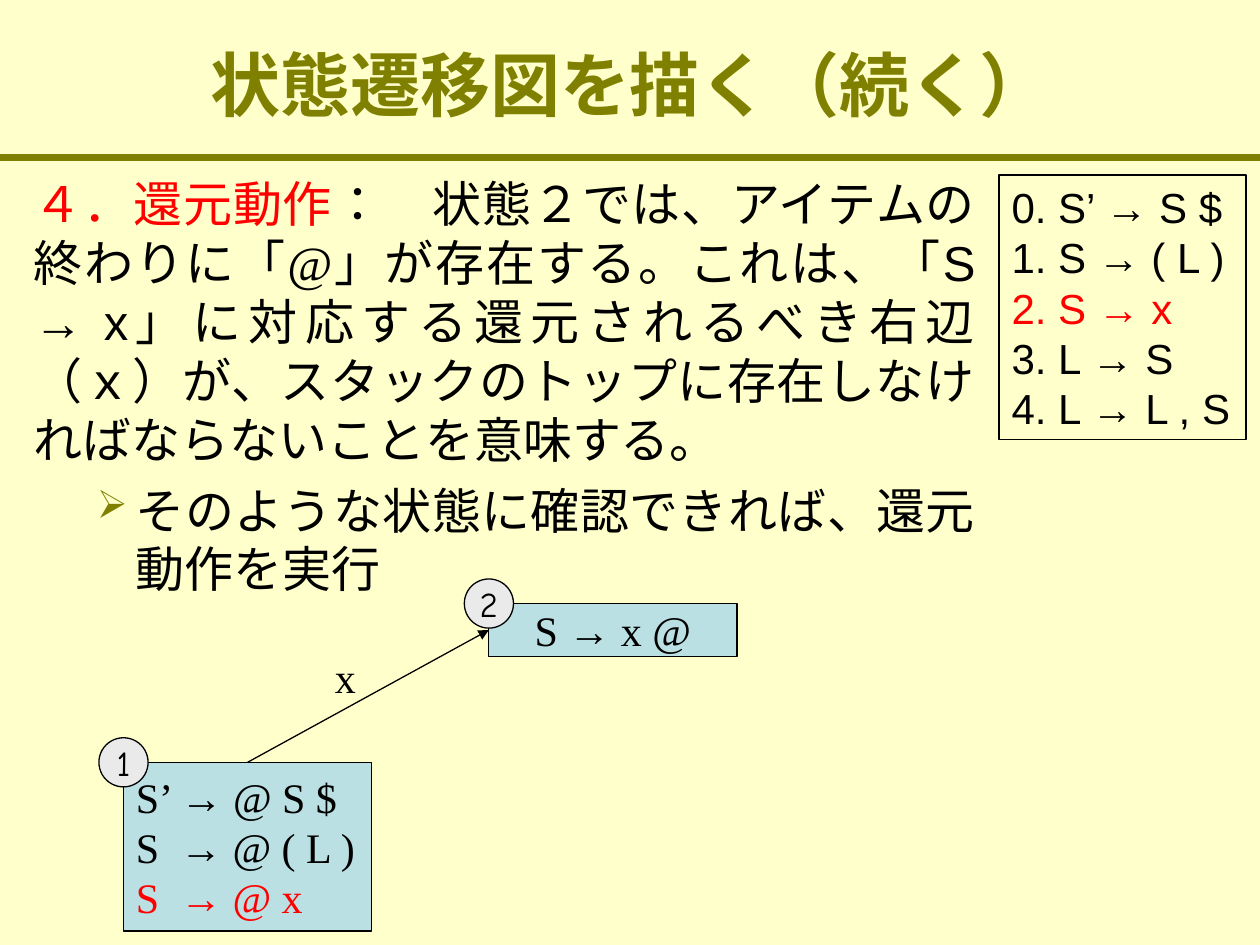
from lxml.etree import SubElement
from pptx import Presentation
from pptx.dml.color import RGBColor
from pptx.enum.lang import MSO_LANGUAGE_ID
from pptx.enum.shapes import MSO_CONNECTOR, MSO_SHAPE
from pptx.enum.text import MSO_ANCHOR, PP_ALIGN
from pptx.oxml.ns import qn
from pptx.util import Inches, Pt

CREAM = RGBColor(0xFF, 0xFF, 0xCC)
OLIVE = RGBColor(0x80, 0x80, 0x00)
BLACK = RGBColor(0x00, 0x00, 0x00)
RED = RGBColor(0xFF, 0x00, 0x00)
PALE_BLUE = RGBColor(0xBB, 0xE0, 0xE3)
PALE_GRAY = RGBColor(0xEA, 0xEA, 0xEA)

SERIF, SANS, HAND = "Times New Roman", "Arial", "Comic Neue"
TOP, LEFT = 0, 1
BADGE_SIZE = 0.39


def write(shape, paragraphs, size=24, font=SERIF, color=BLACK, bold=False,
          align=PP_ALIGN.LEFT, anchor=MSO_ANCHOR.TOP, wrap=False,
          line_spacing=None):
    """Fill shape with paragraphs, each a list of (text, format overrides)."""
    frame = shape.text_frame
    frame.word_wrap = wrap
    frame.vertical_anchor = anchor
    for index, runs in enumerate(paragraphs):
        paragraph = frame.paragraphs[0] if index == 0 else frame.add_paragraph()
        paragraph.alignment = align
        paragraph.line_spacing = line_spacing
        for text, override in runs:
            run = paragraph.add_run()
            run.text = text
            run.font.size = Pt(size)
            run.font.name = override.get("font", font)
            run.font.bold = bold
            run.font.color.rgb = override.get("color", color)
            run.font.language_id = MSO_LANGUAGE_ID.JAPANESE
    return frame


def lines(*texts, red=None):
    """One paragraph per text; the one at index red is highlighted."""
    return [[(text, {"color": RED} if index == red else {})]
            for index, text in enumerate(texts)]


def add_outlined(slide, preset, box, fill=None):
    shape = slide.shapes.add_shape(preset, *map(Inches, box))
    shape.shadow.inherit = False
    if fill is None:
        shape.fill.background()
    else:
        shape.fill.solid()
        shape.fill.fore_color.rgb = fill
    shape.line.color.rgb = BLACK
    shape.line.width = Pt(0.75)
    return shape


def add_line(slide, start, end, color, width):
    line = slide.shapes.add_connector(
        MSO_CONNECTOR.STRAIGHT, *map(Inches, (*start, *end)))
    line.line.color.rgb = color
    line.line.width = Pt(width)
    SubElement(line._element.spPr, qn("a:effectLst"))
    return line


def add_bullet(paragraph, char, color, percent, margin, indent):
    properties = paragraph._p.get_or_add_pPr()
    properties.set("lvl", "1")
    properties.set("marL", str(Inches(margin)))
    properties.set("indent", str(Inches(indent)))
    bullet_color = SubElement(properties, qn("a:buClr"))
    SubElement(bullet_color, qn("a:srgbClr"), val=str(color))
    SubElement(properties, qn("a:buSzPct"), val=str(percent * 1000))
    SubElement(properties, qn("a:buChar"), char=char)


def add_title(slide, box):
    left, top, width, height = box
    rule_y = top + height - 0.08
    add_line(slide, (left, rule_y), (left + width, rule_y), OLIVE, 4.5)
    title = slide.shapes.add_textbox(*map(Inches, box))
    write(title, lines("状態遷移図を描く（続く）"), size=40, color=OLIVE, bold=True,
          align=PP_ALIGN.CENTER, anchor=MSO_ANCHOR.MIDDLE, wrap=True,
          line_spacing=0.9)


def add_explanation(slide, box):
    explanation = slide.shapes.add_textbox(*map(Inches, box))
    reduction = [
        ("４．還元動作", {"color": RED}),
        ("：\u3000状態２では、アイテムの終わりに「@」が存在する。これは、「", {}),
        ("S → x", {"font": SANS}),
        ("」に対応する還元されるべき右辺（ｘ）が、スタックのトップに"
         "存在しなければならないことを意味する。", {}),
    ]
    action = [("そのような状態に確認できれば、還元動作を実行", {})]
    frame = write(explanation, [reduction, action], size=28,
                  align=PP_ALIGN.JUSTIFY, wrap=True)
    action_paragraph = frame.paragraphs[1]
    action_paragraph.space_before = Pt(7)
    add_bullet(action_paragraph, "➢", OLIVE, 80, margin=0.81, indent=-0.31)


def add_grammar(slide, box):
    grammar = add_outlined(slide, MSO_SHAPE.RECTANGLE, box)
    write(grammar, lines("0. S’ → S $", "1. S → ( L )", "2. S → x",
                         "3. L → S", "4. L → L , S", red=2), font=SANS)


def add_state(slide, box, items, align=PP_ALIGN.LEFT):
    state = add_outlined(slide, MSO_SHAPE.RECTANGLE, box, PALE_BLUE)
    write(state, items, align=align, anchor=MSO_ANCHOR.MIDDLE)
    return state


def add_badge(slide, box, number):
    """Number a state with a circle centred on the corner of its box."""
    left, top = (edge - BADGE_SIZE / 2 for edge in box[:2])
    badge = add_outlined(slide, MSO_SHAPE.OVAL,
                         (left, top, BADGE_SIZE, BADGE_SIZE), PALE_GRAY)
    write(badge, lines(number), size=20, font=HAND,
          align=PP_ALIGN.CENTER, anchor=MSO_ANCHOR.MIDDLE)


def add_diagram(slide, box):
    left, top, width, height = box
    state_width, start_height, end_height = 1.97, 1.34, 0.42
    start_box = (left, top + height - start_height, state_width, start_height)
    end_box = (left + width - state_width, top, state_width, end_height)
    start = add_state(slide, start_box,
                      lines("S’ → @ S $", "S  → @ ( L )", "S  → @ x", red=2))
    end = add_state(slide, end_box, lines("S → x @"), PP_ALIGN.CENTER)

    shift = add_line(slide, start_box[:2], end_box[:2], BLACK, 0.75)
    shift.begin_connect(start, TOP)
    shift.end_connect(end, LEFT)
    SubElement(shift.line._get_or_add_ln(), qn("a:tailEnd"), type="triangle")
    symbol = slide.shapes.add_textbox(
        *map(Inches, (left + 1.58, top + 0.33, 0.36, 0.5)))
    write(symbol, lines("x"))

    add_badge(slide, start_box, "1")
    add_badge(slide, end_box, "2")


def main():
    deck = Presentation()
    deck.slide_width, deck.slide_height = Inches(10), Inches(7.5)
    slide = deck.slides.add_slide(deck.slide_layouts[6])
    slide.background.fill.solid()
    slide.background.fill.fore_color.rgb = CREAM
    add_title(slide, (0, 0.08, 10, 1.25))
    add_explanation(slide, (0.17, 1.33, 7.67, 6))
    add_diagram(slide, (0.98, 4.79, 4.87, 2.6))
    add_grammar(slide, (7.93, 1.39, 1.96, 2.1))
    deck.save("out.pptx")


if __name__ == "__main__":
    main()
